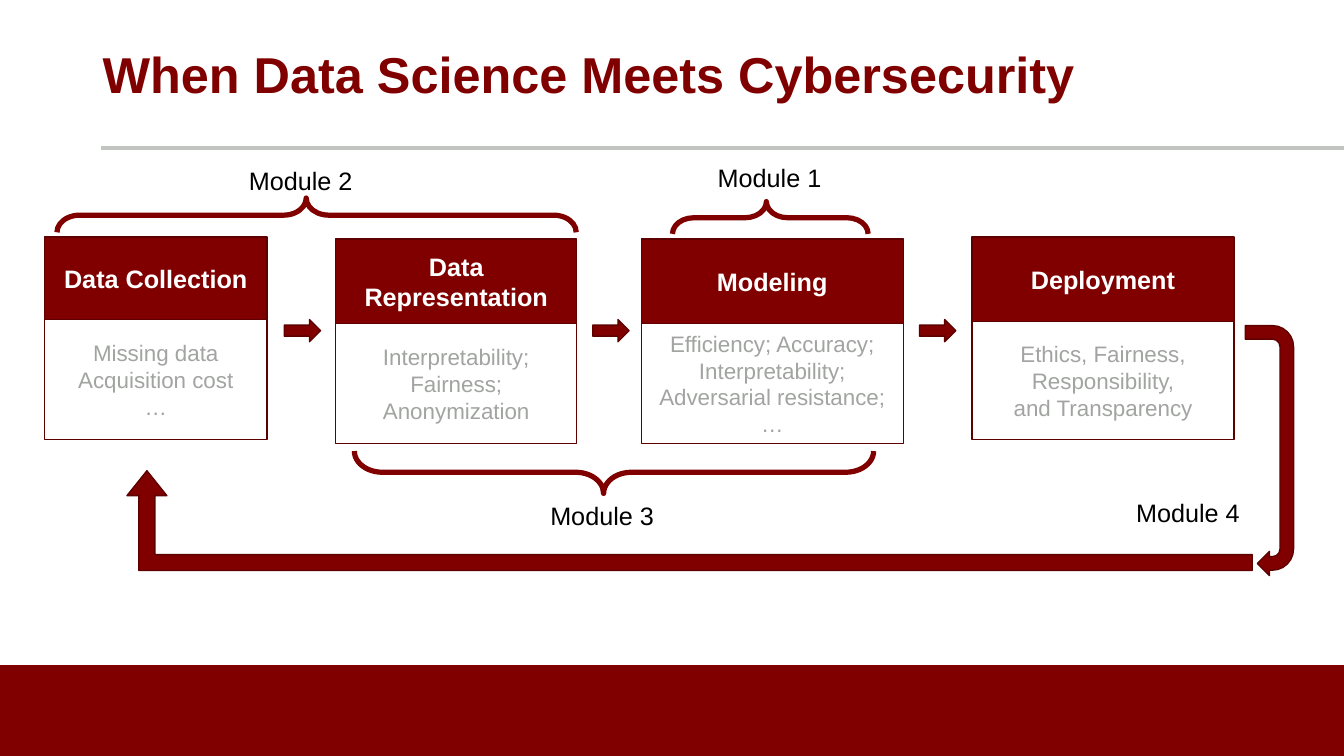
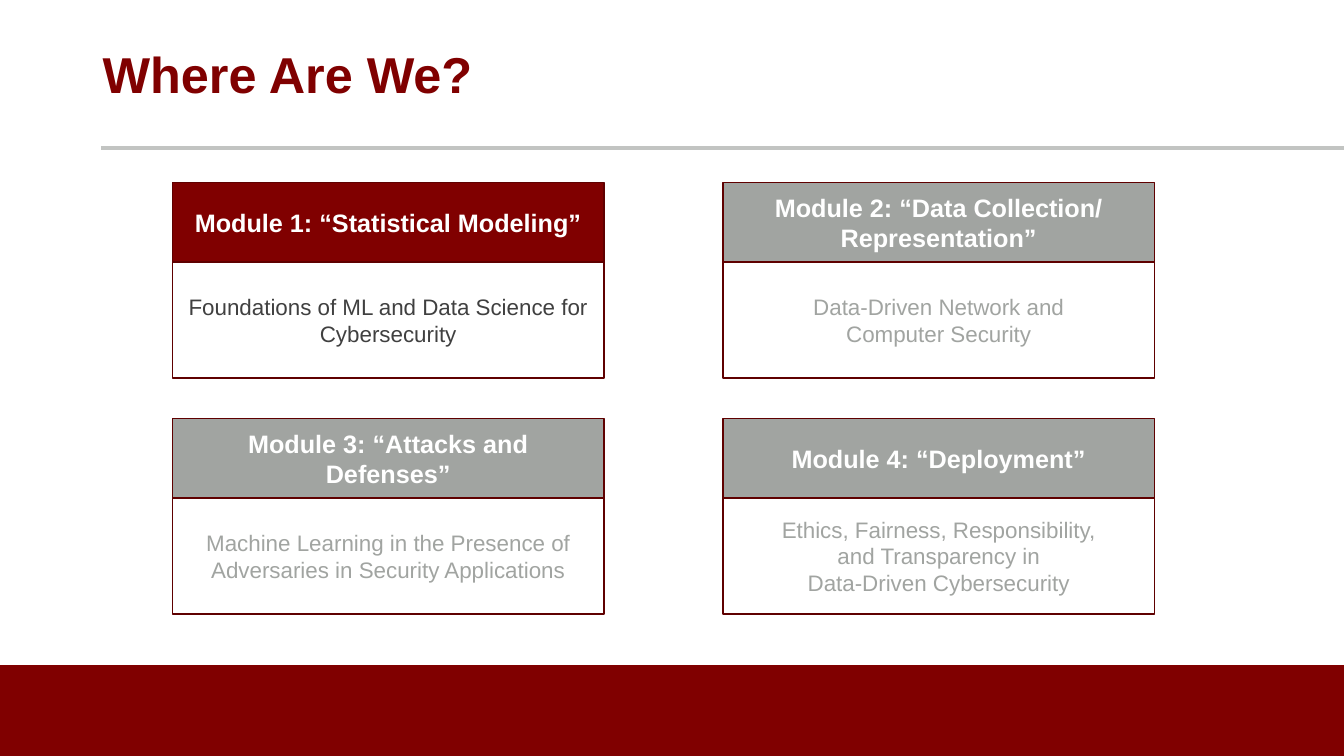
"""Builds two slides on the modules of a data science and cybersecurity course."""
from lxml import etree
from pptx import Presentation
from pptx.dml.color import RGBColor
from pptx.enum.shapes import MSO_CONNECTOR, MSO_SHAPE
from pptx.enum.text import MSO_ANCHOR, MSO_AUTO_SIZE, PP_ALIGN
from pptx.oxml.ns import qn
from pptx.util import Pt

PX = 9144
WIDE, HIGH = 1333, 750
FONT = "Arial"
RED = RGBColor(0x80, 0x00, 0x00)
EDGE = RGBColor(0x5F, 0x00, 0x00)
GRAY = RGBColor(0xA1, 0xA4, 0xA1)
RULE = RGBColor(0xC2, 0xC4, 0xC2)
DARK = RGBColor(0x40, 0x40, 0x40)
BLACK = RGBColor(0x00, 0x00, 0x00)
WHITE = RGBColor(0xFF, 0xFF, 0xFF)
RECT = MSO_SHAPE.RECTANGLE
RIGHT = MSO_SHAPE.RIGHT_ARROW
BENT = MSO_SHAPE.BENT_UP_ARROW
TURN = MSO_SHAPE.U_TURN_ARROW
BRACE = MSO_SHAPE.LEFT_BRACE
LINE = MSO_CONNECTOR.STRAIGHT
MID = MSO_ANCHOR.MIDDLE
LEFT, CENTER = PP_ALIGN.LEFT, PP_ALIGN.CENTER
GROW = MSO_AUTO_SIZE.SHAPE_TO_FIT_TEXT


def draw(slide, kind, box, fill=None, edge=None, thick=1, turn=0, flip=False, adj=()):
    """Adds a preset shape."""
    shape = slide.shapes.add_shape(kind, *[n * PX for n in box])
    shape.shadow.inherit = False
    if fill is None:
        shape.fill.background()
    else:
        shape.fill.solid()
        shape.fill.fore_color.rgb = fill
    if edge is None:
        shape.line.fill.background()
    else:
        shape.line.color.rgb = edge
        shape.line.width = Pt(thick)
    shape.rotation = turn
    if flip:
        shape.element.spPr.get_or_add_xfrm().set("flipH", "1")
    for i, part in enumerate(adj):
        shape.adjustments[i] = part
    return shape


def write(shape, text, size, tone, bold=False, align=CENTER, wrap=True):
    """Fills a shape with one paragraph per line of text."""
    frame = shape.text_frame
    frame.word_wrap = wrap
    frame.vertical_anchor = MID
    for i, words in enumerate(text.split("\n")):
        para = frame.add_paragraph() if i else frame.paragraphs[0]
        para.alignment = align
        run = para.add_run()
        run.text = words
        run.font.name = FONT
        run.font.size = Pt(size)
        run.font.bold = bold
        run.font.color.rgb = tone


STEPS = [
    (44, 235, 221, 82, 119, RED, "Data Collection",
     "Missing data\nAcquisition cost\n…", GRAY),
    (333, 237, 239, 84, 119, RED, "Data Representation",
     "Interpretability; Fairness;\nAnonymization", GRAY),
    (636, 237, 260, 84, 119, RED, "Modeling",
     "Efficiency; Accuracy; Interpretability; Adversarial resistance;\n…", GRAY),
    (964, 235, 260, 84, 117, RED, "Deployment",
     "Ethics, Fairness, Responsibility,\nand Transparency", GRAY),
]
TOPICS = [
    (RED, "Module 1: “Statistical Modeling”",
     "Foundations of ML and Data Science for Cybersecurity", DARK),
    (GRAY, "Module 2: “Data Collection/ Representation”",
     "Data-Driven Network and\nComputer Security", GRAY),
    (GRAY, "Module 3: “Attacks and Defenses”",
     "Machine Learning in the Presence of Adversaries in Security Applications", GRAY),
    (GRAY, "Module 4: “Deployment”",
     "Ethics, Fairness, Responsibility,\nand Transparency in\nData-Driven Cybersecurity", GRAY),
]
GRID = [(171 + i % 2 * 546, 181 + i // 2 * 234, 428, 79, 115, *topic)
        for i, topic in enumerate(TOPICS)]
DECK = [("When Data Science Meets Cybersecurity", STEPS), ("Where Are We?", GRID)]

deck = Presentation()
deck.slide_width, deck.slide_height = WIDE * PX, HIGH * PX
blank = deck.slide_layouts[6]

for title, cards in DECK:
    slide = deck.slides.add_slide(blank)
    draw(slide, RECT, (0, 660, WIDE, 90), RED)
    rule = slide.shapes.add_connector(LINE, 100 * PX, 147 * PX, WIDE * PX, 147 * PX)
    rule.line.color.rgb = RULE
    rule.line.width = Pt(3)
    etree.SubElement(rule.element.spPr, qn("a:effectLst"))
    head = slide.shapes.add_textbox(92 * PX, 0, 1150 * PX, 145 * PX)
    write(head, title, 36, RED, True, LEFT)
    for x, y, wide, top, low, fill, name, text, tone in cards:
        write(draw(slide, RECT, (x, y, wide, top), fill, EDGE), name, 18, WHITE, True)
        write(draw(slide, RECT, (x, y + top, wide, low), WHITE, EDGE), text, 16, tone)

flow = deck.slides[0]
for x in (282, 588, 912):
    draw(flow, RIGHT, (x, 317, 36, 22), RED, EDGE)
draw(flow, BENT, (126, 467, 1116, 99), RED, EDGE, flip=True, adj=(0.16, 0.2, 0.25))
draw(flow, TURN, (1135, 423, 248, 48), RED, EDGE, turn=90,
     adj=(0.28, 0.25, 0.25, 0.44, 0.75))

for box, flip in (
    ((748, 119, 32, 194), False),
    ((297, -44, 34, 515), False),
    ((588, 211, 42, 515), True),
):
    draw(flow, BRACE, box, edge=RED, thick=3.75, turn=90, flip=flip, adj=(0.66, 0.52))

for x, y, name in (
    (702, 156, "Module 1"),
    (237, 159, "Module 2"),
    (536, 491, "Module 3"),
    (1117, 488, "Module 4"),
):
    label = flow.shapes.add_textbox(x * PX, y * PX, 124 * PX, 40 * PX)
    write(label, name, 18, BLACK, align=LEFT, wrap=False)
    label.text_frame.auto_size = GROW

deck.save("out.pptx")
